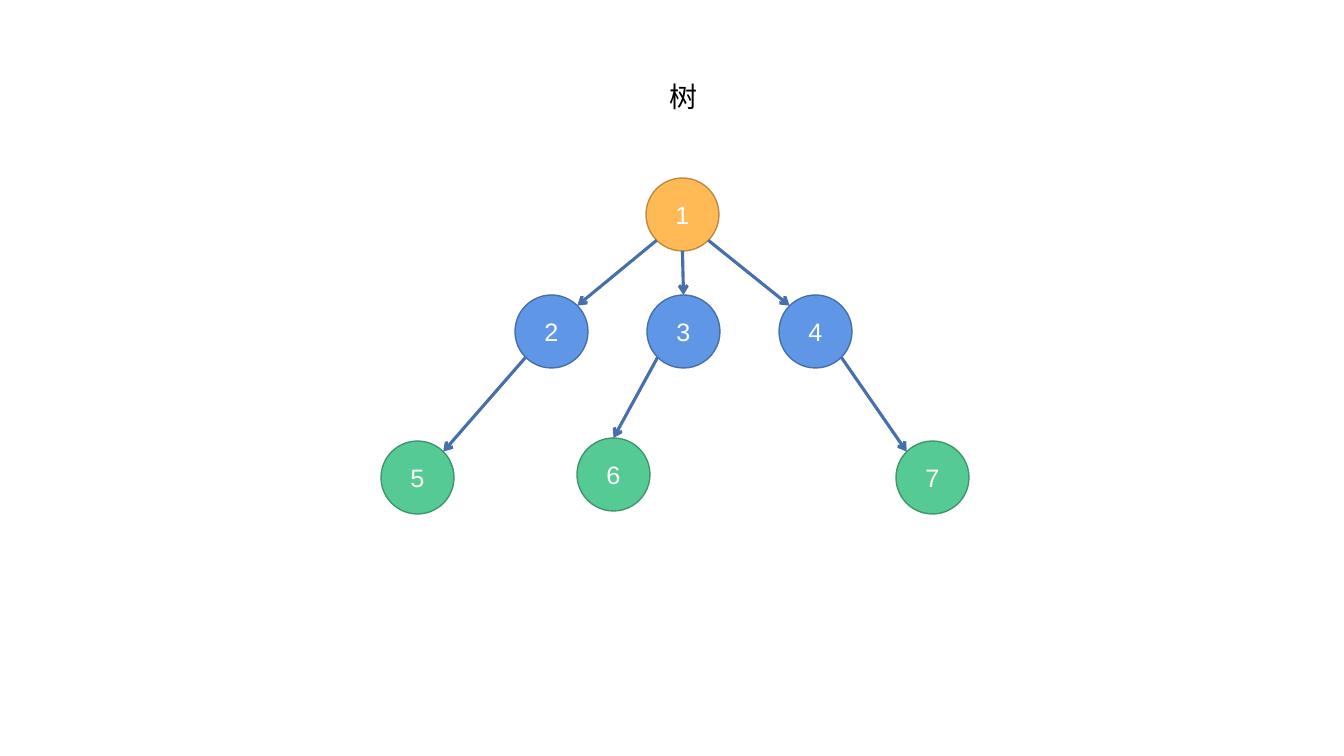
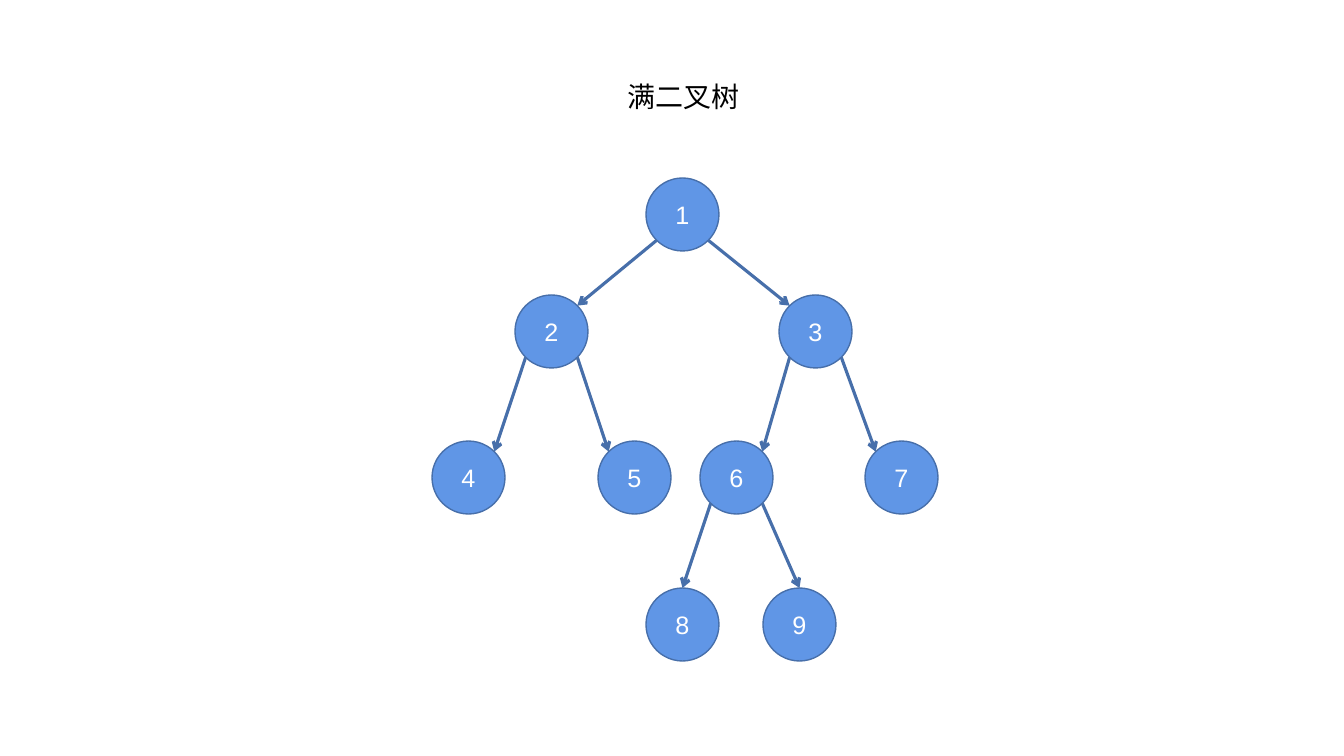
from math import sqrt

from lxml import etree
from pptx import Presentation
from pptx.dml.color import RGBColor
from pptx.enum.shapes import MSO_CONNECTOR, MSO_SHAPE
from pptx.enum.text import MSO_ANCHOR, MSO_AUTO_SIZE, PP_ALIGN
from pptx.oxml.ns import qn
from pptx.util import Pt

STRAIGHT = MSO_CONNECTOR.STRAIGHT
OVAL = MSO_SHAPE.OVAL
TOP = MSO_ANCHOR.TOP
MIDDLE = MSO_ANCHOR.MIDDLE
FIT_SHAPE = MSO_AUTO_SIZE.SHAPE_TO_FIT_TEXT
CENTER = PP_ALIGN.CENTER

SCALE = 914400 / 100.8
DIAMETER = 73
RADIUS = DIAMETER / 2
DIAGONAL = RADIUS / sqrt(2)
ROWS = [178, 295, 441, 588]
LEFT, MID, RIGHT = -1, 0, 1

ORANGE = ("FFBA55", "BD8A3F")
BLUE = ("6096E6", "476FAA")
GREEN = ("56CA95", "40956E")

TREES = [
    {
        "title": "树",
        "nodes": {
            1: (646, ROWS[0], ORANGE),
            2: (515, ROWS[1], BLUE),
            3: (647, ROWS[1], BLUE),
            4: (779, ROWS[1], BLUE),
            5: (381, ROWS[2], GREEN),
            6: (577, 438, GREEN),
            7: (896, ROWS[2], GREEN),
        },
        "edges": [
            (1, LEFT, 2, RIGHT),
            (1, MID, 3, MID),
            (1, RIGHT, 4, LEFT),
            (2, LEFT, 5, RIGHT),
            (3, LEFT, 6, MID),
            (4, RIGHT, 7, LEFT),
        ],
    },
    {
        "title": "满二叉树",
        "nodes": {
            1: (646, ROWS[0], BLUE),
            2: (515, ROWS[1], BLUE),
            3: (779, ROWS[1], BLUE),
            4: (432, ROWS[2], BLUE),
            5: (598, ROWS[2], BLUE),
            6: (700, ROWS[2], BLUE),
            7: (865, ROWS[2], BLUE),
            8: (646, ROWS[3], BLUE),
            9: (763, ROWS[3], BLUE),
        },
        "edges": [
            (1, LEFT, 2, RIGHT),
            (1, RIGHT, 3, LEFT),
            (2, LEFT, 4, RIGHT),
            (2, RIGHT, 5, LEFT),
            (3, LEFT, 6, RIGHT),
            (3, RIGHT, 7, LEFT),
            (6, LEFT, 8, MID),
            (6, RIGHT, 9, MID),
        ],
    },
]


def px(*lengths):
    return [round(length * SCALE) for length in lengths]


def color(value):
    return RGBColor.from_string(value)


deck = Presentation()
deck.slide_width, deck.slide_height = px(1344, 756)

for tree in TREES:
    page = deck.slides.add_slide(deck.slide_layouts[5])
    title = page.shapes.title
    title.left, title.top, title.width, title.height = px(582, 74, 203, 44)
    title.text_frame.text = tree["title"]
    title.text_frame.vertical_anchor = TOP
    title.text_frame.auto_size = FIT_SHAPE
    para = title.text_frame.paragraphs[0]
    para.alignment = CENTER
    para.font.name = "Arial"
    para.font.size = Pt(20)
    para.font.color.rgb = color("000000")

    for label, (left, top, (fill, outline)) in tree["nodes"].items():
        node = page.shapes.add_shape(OVAL, *px(left, top, DIAMETER, DIAMETER))
        node.shadow.inherit = False
        node.fill.solid()
        node.fill.fore_color.rgb = color(fill)
        node.line.color.rgb = color(outline)
        node.line.width = Pt(1)
        node.text_frame.text = str(label)
        node.text_frame.vertical_anchor = MIDDLE
        para = node.text_frame.paragraphs[0]
        para.alignment = CENTER
        para.font.name = "Arial"
        para.font.size = Pt(18)
        para.font.color.rgb = color("FFFFFF")

    for parent, parent_side, child, child_side in tree["edges"]:
        ends = []
        for label, side, down in ((parent, parent_side, 1), (child, child_side, -1)):
            left, top, _ = tree["nodes"][label]
            rise = DIAGONAL if side else RADIUS
            ends += [left + RADIUS + side * DIAGONAL, top + RADIUS + down * rise]
        arrow = page.shapes.add_connector(STRAIGHT, *px(*ends))
        arrow.line.color.rgb = color(BLUE[1])
        arrow.line.width = Pt(2.25)
        etree.SubElement(arrow.line._get_or_add_ln(), qn("a:tailEnd"), type="arrow")
        etree.SubElement(arrow._element.spPr, qn("a:effectLst"))

deck.save("out.pptx")
